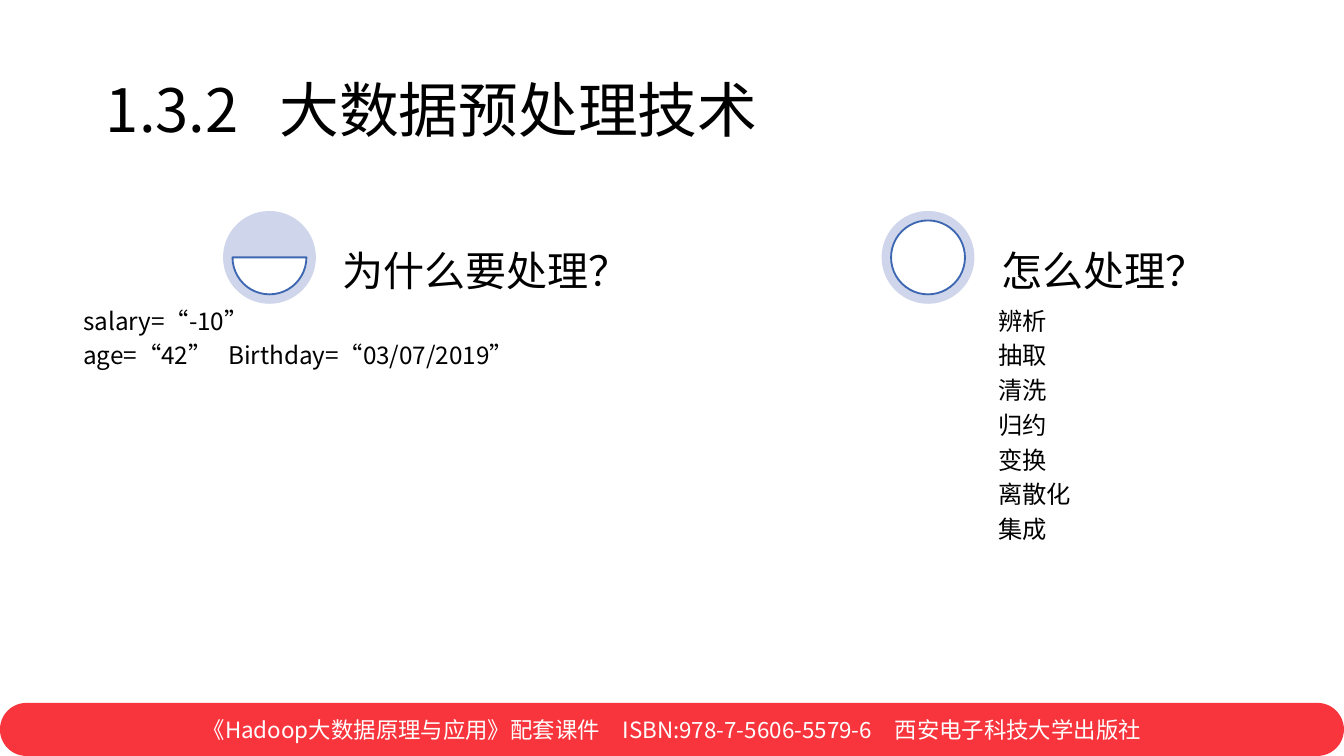
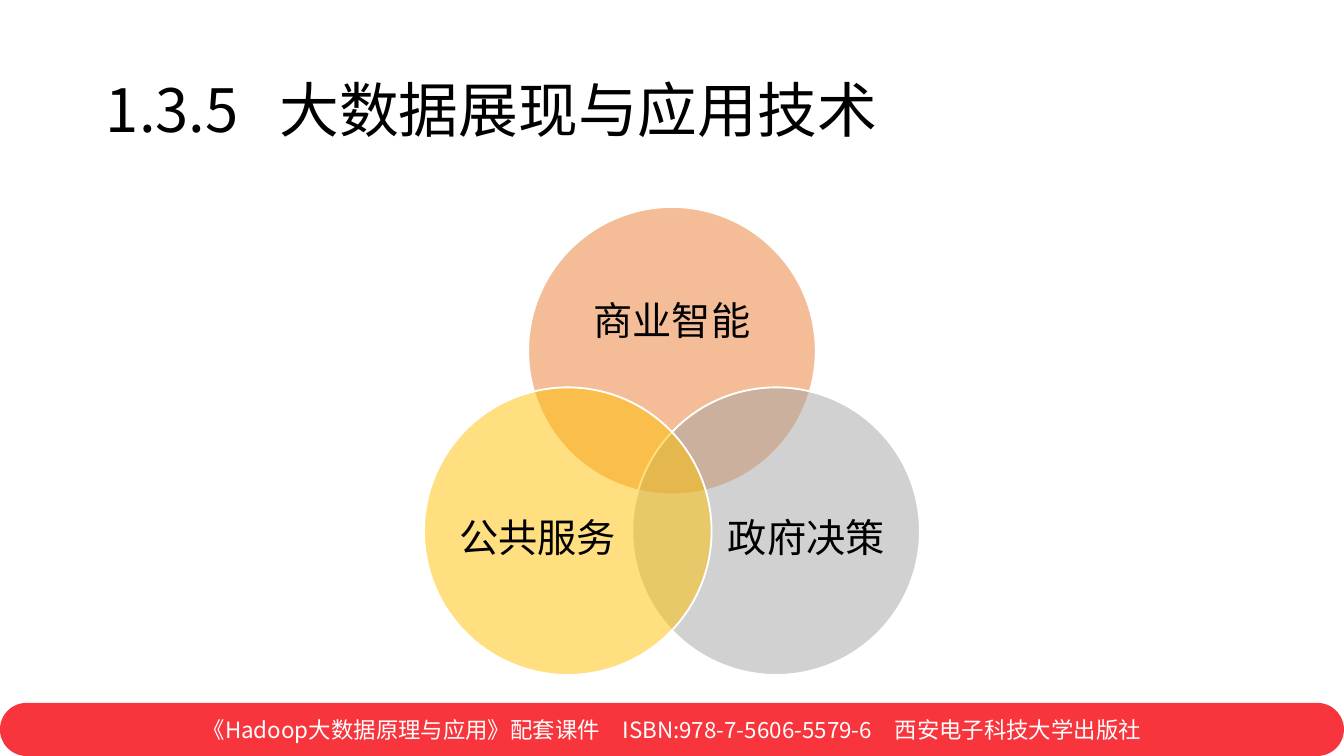
"""Build two slides on big data preprocessing and presentation techniques."""
import math
from typing import NamedTuple, Optional

import pptx
import pptx.dml.color
import pptx.enum.shapes
import pptx.enum.text
import pptx.oxml
import pptx.oxml.ns
import pptx.presentation
import pptx.shapes.autoshape
import pptx.slide
import pptx.util

SHAPE = pptx.enum.shapes.MSO_SHAPE
ALIGN = pptx.enum.text.PP_ALIGN
ANCHOR = pptx.enum.text.MSO_ANCHOR

WIDTH = pptx.util.Inches(10)
HEIGHT = pptx.util.Emu(WIDTH * 9 // 16)
COLUMNS, ROWS = 100, 56.25
FONT = "Noto Sans CJK SC"
BLACK, WHITE, RED = "000000", "FFFFFF", "F8353D"
PALE_BLUE, BLUE = "CFD5EA", "3E67B2"
ORANGE, GREY, YELLOW = "ED7D31", "A5A5A5", "FFC000"
FOOTER = "《Hadoop大数据原理与应用》配套课件　ISBN:978-7-5606-5579-6　西安电子科技大学出版社"


class Box(NamedTuple):
    """Left, top, width and height in grid columns and rows."""
    left: float
    top: float
    width: float
    height: float

    def emu(self) -> tuple[int, int, int, int]:
        """Convert the grid cells to slide lengths."""
        col, row = WIDTH / COLUMNS, HEIGHT / ROWS
        return (round(self.left * col), round(self.top * row),
                round(self.width * col), round(self.height * row))


class TextStyle(NamedTuple):
    """Look of the text in a box; the tab stop is in columns."""
    size: float
    color: str = BLACK
    align: pptx.enum.text.PP_ALIGN = ALIGN.LEFT
    anchor: pptx.enum.text.MSO_ANCHOR = ANCHOR.TOP
    inset: Optional[float] = None
    spacing: float = 0.9
    after: float = 0
    tab: Optional[float] = None


class Topic(NamedTuple):
    """A heading with a gauge and the lines below it."""
    left: float
    heading: str
    lines: list[str]
    body_left: float
    body_width: float
    gauge: tuple[float, float]


class VennSet(NamedTuple):
    """One circle of the diagram, placed by its angle."""
    label: str
    color: str
    angle: float
    label_box: Box


TITLE_BOX = Box(6.9, 3, 86.2, 10.9)
FOOTER_BOX = Box(0, 52.3, COLUMNS, ROWS - 52.3)
TITLE = TextStyle(32, anchor=ANCHOR.MIDDLE, tab=12.9)
FOOTER_TEXT = TextStyle(12, WHITE, ALIGN.CENTER, ANCHOR.MIDDLE, spacing=1)
HEADING = TextStyle(22, anchor=ANCHOR.BOTTOM, inset=0.6)
BODY = TextStyle(13, inset=0.4, after=4.55, tab=10.8)
VENN_LABEL = TextStyle(21, align=ALIGN.CENTER, anchor=ANCHOR.MIDDLE, inset=0)

TOPIC_TOP, GAUGE_SIZE, GAUGE_RIM = 15.7, 6.9, 0.7
HEADING_OFFSET, HEADING_WIDTH, BODY_HEIGHT = 8.3, 20.3, 28.8
TOPICS = [
    Topic(16.6, "为什么要处理？",
          ["salary=“-10”", "age=“42”\tBirthday=“03/07/2019”"],
          5.8, 58.4, (0, 108)),
    Topic(65.6, "怎么处理？",
          ["辨析", "抽取", "清洗", "归约", "变换", "离散化", "集成"],
          73.9, HEADING_WIDTH, (162, 162)),
]

VENN_X, VENN_Y, VENN_REACH, VENN_RADIUS = 50, 35.05, 8.95, 10.7
VENN_SETS = [
    VennSet("商业智能", ORANGE, -90, Box(42.15, 19.2, 15.7, 9.6)),
    VennSet("政府决策", GREY, 30, Box(53.6, 34.3, 12.8, 11.8)),
    VennSet("公共服务", YELLOW, 150, Box(33.6, 34.3, 12.8, 11.8)),
]


def rgb(color: str) -> pptx.dml.color.RGBColor:
    """Turn a hex string into a colour."""
    return pptx.dml.color.RGBColor.from_string(color)


def write(sp: pptx.shapes.autoshape.Shape, text: str, style: TextStyle) -> None:
    """Put styled text into a shape, one paragraph a line."""
    tf = sp.text_frame
    tf.text = text
    tf.word_wrap = True
    tf.vertical_anchor = style.anchor
    if style.inset is not None:
        inset = round(style.inset * WIDTH / COLUMNS)
        tf.margin_left = tf.margin_right = inset
        tf.margin_top = tf.margin_bottom = inset
    for p in tf.paragraphs:
        if style.tab is not None and "\t" in p.text:
            stops = pptx.oxml.parse_xml(
                f'<a:tabLst {pptx.oxml.ns.nsdecls("a")}><a:tab algn="l" '
                f'pos="{round(style.tab * WIDTH / COLUMNS)}"/></a:tabLst>')
            p._p.get_or_add_pPr().append(stops)
        p.alignment = style.align
        p.line_spacing = style.spacing
        p.space_after = pptx.util.Pt(style.after)
        for r in p.runs:
            r.font.size = pptx.util.Pt(style.size)
            r.font.name = FONT
            r.font.color.rgb = rgb(style.color)
            east_asian = pptx.oxml.parse_xml(
                f'<a:ea {pptx.oxml.ns.nsdecls("a")} typeface="{FONT}"/>')
            r.font._element.append(east_asian)


def add_text(s: pptx.slide.Slide, box: Box, text: str, style: TextStyle) -> None:
    """Add a text box."""
    write(s.shapes.add_textbox(*box.emu()), text, style)


def add_figure(s: pptx.slide.Slide, kind: pptx.enum.shapes.MSO_SHAPE, box: Box,
               fill: str, line: Optional[str] = None,
               adjust: tuple[float, ...] = (),
               alpha: Optional[int] = None) -> pptx.shapes.autoshape.Shape:
    """Add a filled preset shape without a shadow."""
    sp = s.shapes.add_shape(kind, *box.emu())
    sp.shadow.inherit = False
    sp.fill.solid()
    sp.fill.fore_color.rgb = rgb(fill)
    if alpha is not None:
        color = sp._element.spPr.find(".//" + pptx.oxml.ns.qn("a:srgbClr"))
        color.append(pptx.oxml.parse_xml(
            f'<a:alpha {pptx.oxml.ns.nsdecls("a")} val="{alpha * 1000}"/>'))
    if line is None:
        sp.line.fill.background()
    else:
        sp.line.color.rgb = rgb(line)
        sp.line.width = pptx.util.Pt(1)
    for i, value in enumerate(adjust):
        sp.adjustments[i] = value
    return sp


def add_slide(prs: pptx.presentation.Presentation, number: str,
              name: str) -> pptx.slide.Slide:
    """Add a slide with the shared footer and title."""
    s = prs.slides.add_slide(prs.slide_layouts[6])
    footer = add_figure(s, SHAPE.ROUNDED_RECTANGLE, FOOTER_BOX, RED, adjust=(0.5,))
    write(footer, FOOTER, FOOTER_TEXT)
    add_text(s, TITLE_BOX, f"{number}\t{name}", TITLE)
    return s


def add_topic(s: pptx.slide.Slide, topic: Topic) -> None:
    """Draw a gauge, its heading and its lines."""
    inner = GAUGE_SIZE - 2 * GAUGE_RIM
    add_figure(s, SHAPE.OVAL,
               Box(topic.left, TOPIC_TOP, GAUGE_SIZE, GAUGE_SIZE), PALE_BLUE)
    add_figure(s, SHAPE.CHORD,
               Box(topic.left + GAUGE_RIM, TOPIC_TOP + GAUGE_RIM, inner, inner),
               WHITE, BLUE, topic.gauge)
    add_text(s, Box(topic.body_left, TOPIC_TOP + GAUGE_SIZE,
                    topic.body_width, BODY_HEIGHT), "\n".join(topic.lines), BODY)
    add_text(s, Box(topic.left + HEADING_OFFSET, TOPIC_TOP,
                    HEADING_WIDTH, GAUGE_SIZE), topic.heading, HEADING)


def add_venn_set(s: pptx.slide.Slide, venn: VennSet) -> None:
    """Draw a translucent circle and its label."""
    angle = math.radians(venn.angle)
    left = VENN_X + VENN_REACH * math.cos(angle) - VENN_RADIUS
    top = VENN_Y + VENN_REACH * math.sin(angle) - VENN_RADIUS
    add_figure(s, SHAPE.OVAL, Box(left, top, 2 * VENN_RADIUS, 2 * VENN_RADIUS),
               venn.color, WHITE, alpha=50)
    add_text(s, venn.label_box, venn.label, VENN_LABEL)


def main() -> None:
    """Build and save the presentation."""
    prs = pptx.Presentation()
    prs.slide_width, prs.slide_height = WIDTH, HEIGHT
    s = add_slide(prs, "1.3.2", "大数据预处理技术")
    for topic in TOPICS:
        add_topic(s, topic)
    s = add_slide(prs, "1.3.5", "大数据展现与应用技术")
    for venn in VENN_SETS:
        add_venn_set(s, venn)
    prs.save("out.pptx")


if __name__ == "__main__":
    main()
